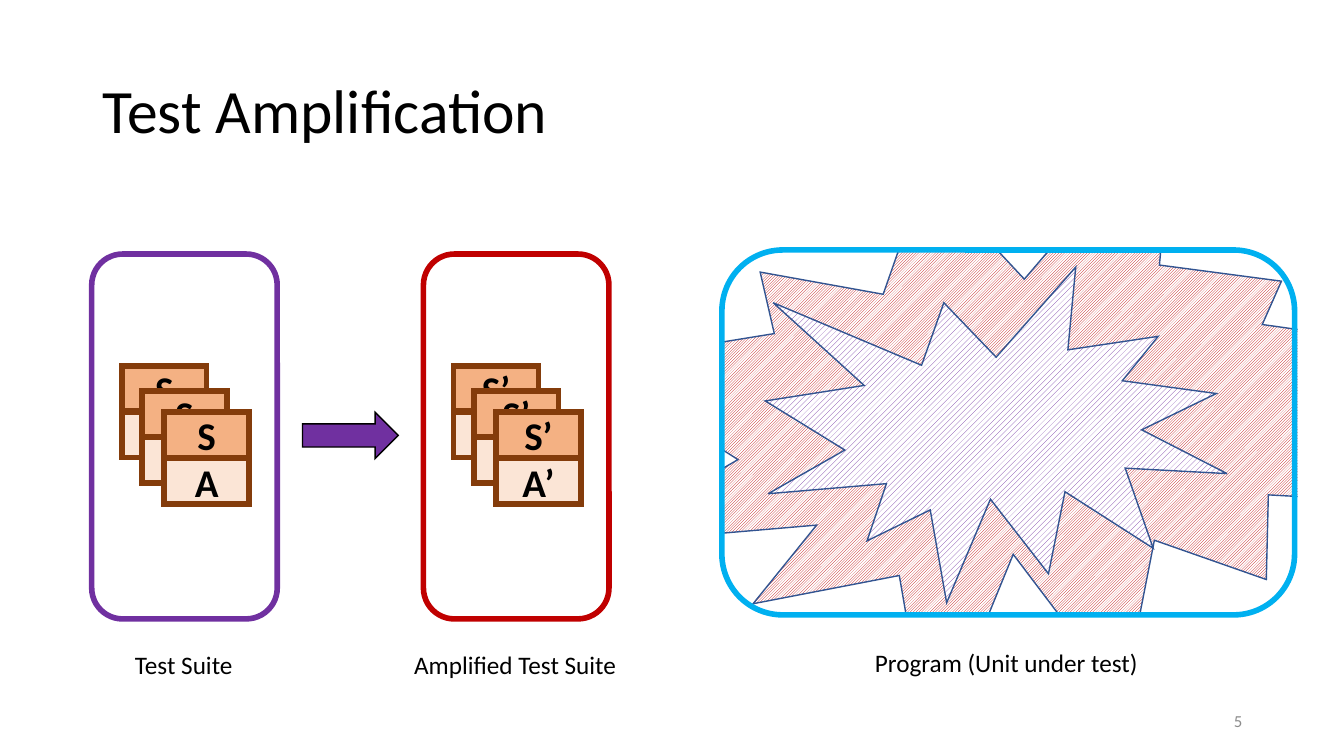
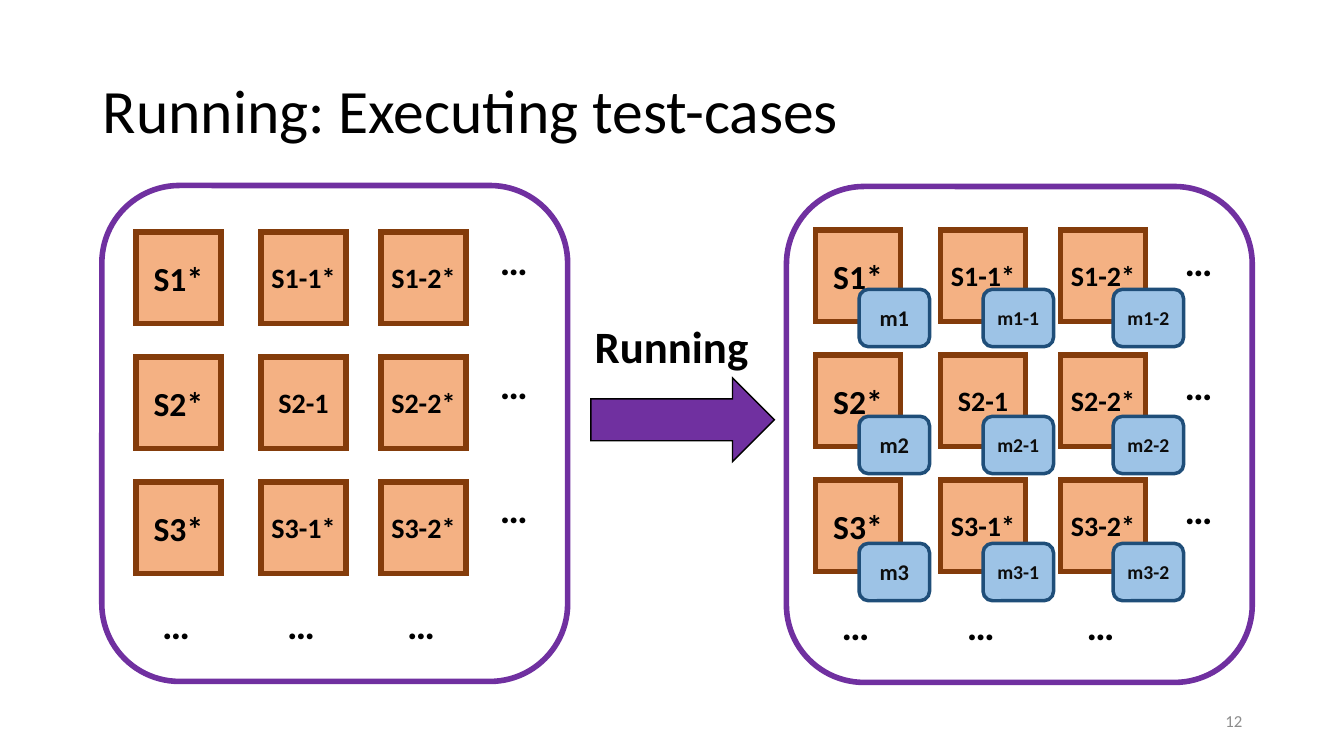
"""Build two slides on test amplification and on running test cases."""
from dataclasses import dataclass

from lxml.etree import SubElement
from pptx import Presentation
from pptx.dml.color import RGBColor
from pptx.enum.dml import MSO_PATTERN as Pattern
from pptx.enum.shapes import MSO_SHAPE as Shape
from pptx.enum.text import MSO_ANCHOR as Anchor, PP_ALIGN as Align
from pptx.oxml.ns import qn
from pptx.shapes.autoshape import Shape as AutoShape
from pptx.slide import Slide
from pptx.util import Inches, Pt


@dataclass(frozen=True)
class Theme:
    font: str = "Calibri"
    black: str = "000000"
    white: str = "FFFFFF"
    grey: str = "8C8C8C"
    ink: str = "0D0D0D"
    purple: str = "7030A0"
    red: str = "C00000"
    cyan: str = "00B0F0"
    orange: str = "F4B183"
    peach: str = "FBE5D6"
    brown: str = "843C0B"
    sky: str = "9DC3E6"
    navy: str = "1F4E79"
    outline: str = "325491"
    title: int = 44
    heading: int = 32
    big: int = 28
    tile: int = 24
    small_tile: int = 20
    label: int = 18
    metric: int = 16
    small_metric: int = 14
    page: int = 12
    thick: float = 4
    medium: float = 2.5
    thin: float = 1


T = Theme()


@dataclass(frozen=True)
class Box:
    x: float
    y: float
    w: float
    h: float


@dataclass(frozen=True)
class Look:
    fill: str | None = None
    line: str | None = None
    width: float = T.thick


@dataclass(frozen=True)
class Type:
    size: int
    bold: bool = False
    color: str = T.black
    align: Align = Align.LEFT


@dataclass(frozen=True)
class Suite:
    x: float
    color: str
    setup: str
    asserts: tuple[str, ...]
    caption: str
    caption_box: Box


@dataclass(frozen=True)
class Panel:
    frame: Box
    tile_x: float
    tile_y: float
    dots_x: float
    dots_y: float
    measured: bool


BIG = Type(T.big, True)
LABEL = Type(T.label)
TILE = Look(T.orange, T.brown)
CHECK = Look(T.peach, T.brown)
METRIC = Look(T.sky, T.navy, T.medium)
ARROW = Look(T.purple, T.black, T.thin)
COVER = Look(T.white)

SUITES = (
    Suite(0.91, T.purple, "S", ("A", "A", "A"), "Test Suite", Box(1.24, 6.39, 1.18, 0.4)),
    Suite(4.2, T.red, "S’", ("A", "A", "A’"), "Amplified Test Suite", Box(4.01, 6.39, 2.23, 0.4)),
)
CARD_OFFSETS = ((0.3, 3.63), (0.5, 3.88), (0.72, 4.09))
COVERS = (
    Box(12.87, 1.12, 0.46, 5.75), Box(4.46, 1.35, 2.7, 5.75),
    Box(6.73, 6.11, 6.6, 1.39), Box(5.53, 0.4, 7.8, 2.08),
)
BURST = (
    (10.16, 2.77), (11.65, 1.03), (11.5, 2.63), (12.71, 2.79), (12.52, 3.22), (13.3, 3.33),
    (12.88, 4.17), (13.3, 4.39), (13.3, 4.95), (12.58, 4.91), (12.56, 5.75), (11.45, 5.36),
    (11.14, 6.94), (10.05, 5.5), (9.23, 7.5), (8.92, 5.71), (7.47, 5.99), (8.1, 5.21),
    (5.88, 5.4), (7.32, 4.56), (5.83, 3.61), (7.68, 3.31), (7.54, 2.7), (8.76, 2.92),
    (9.18, 1.72),
)
PANELS = (
    Panel(Box(7.8, 1.85, 4.62, 4.92), 8.09, 2.28, 11.65, 5.92, True),
    Panel(Box(1.01, 1.84, 4.62, 4.92), 1.35, 2.3, 4.86, 5.91, False),
)
CASES = (
    ("S1*", "S1-1*", "S1-2*"),
    ("S2*", "S2-1", "S2-2*"),
    ("S3*", "S3-1*", "S3-2*"),
)
COLUMNS = (0, 1.24, 2.43)
METRIC_COLUMNS = (0.43, 1.66, 2.95)
ROW_PITCH = 1.24
METRIC_PITCH = 1.26


def rgb(value: str) -> RGBColor:
    return RGBColor.from_string(value)


def write(sp: AutoShape, text: str, style: Type, spacing: float = 1) -> None:
    p = sp.text_frame.paragraphs[0]
    p.alignment = style.align
    p.line_spacing = spacing
    r = p.add_run()
    r.text = text
    r.font.name = T.font
    r.font.size = Pt(style.size)
    r.font.bold = style.bold
    r.font.color.rgb = rgb(style.color)


def add_text(s: Slide, box: Box, text: str, style: Type, wrap: bool = False,
             anchor: Anchor = Anchor.TOP, spacing: float = 1) -> None:
    sp = s.shapes.add_textbox(Inches(box.x), Inches(box.y), Inches(box.w), Inches(box.h))
    sp.text_frame.word_wrap = wrap
    sp.text_frame.vertical_anchor = anchor
    write(sp, text, style, spacing)


def paint(sp: AutoShape, look: Look, pattern: Pattern | None = None) -> None:
    sp.shadow.inherit = False
    if look.fill is None:
        sp.fill.background()
    elif pattern is None:
        sp.fill.solid()
        sp.fill.fore_color.rgb = rgb(look.fill)
    else:
        sp.fill.patterned()
        sp.fill.pattern = pattern
        sp.fill.fore_color.rgb = rgb(look.fill)
        sp.fill.back_color.rgb = rgb(T.white)
    if look.line is None:
        sp.line.fill.background()
        return
    sp.line.color.rgb = rgb(look.line)
    sp.line.width = Pt(look.width)
    SubElement(sp.line._get_or_add_ln(), qn("a:miter"), lim="800000")


def add_shape(s: Slide, kind: Shape, box: Box, look: Look, text: str = "",
              style: Type = BIG, pattern: Pattern | None = None) -> None:
    sp = s.shapes.add_shape(kind, Inches(box.x), Inches(box.y), Inches(box.w), Inches(box.h))
    paint(sp, look, pattern)
    if text:
        tf = sp.text_frame
        tf.margin_left = tf.margin_right = 0
        tf.vertical_anchor = Anchor.MIDDLE
        write(sp, text, Type(style.size, style.bold, style.color, Align.CENTER))


def new_slide(prs: Presentation) -> Slide:
    return prs.slides.add_slide(prs.slide_layouts[6])


def add_title(s: Slide, title: str) -> None:
    add_text(s, Box(0.92, 0.4, 11.5, 1.45), title, Type(T.title), True, Anchor.MIDDLE, 0.9)


def add_page(s: Slide, page: str) -> None:
    style = Type(T.page, color=T.grey, align=Align.RIGHT)
    add_text(s, Box(9.42, 6.95, 3, 0.4), page, style, True, Anchor.MIDDLE)


def add_suite(s: Slide, suite: Suite) -> None:
    add_shape(s, Shape.ROUNDED_RECTANGLE, Box(suite.x, 2.52, 1.84, 3.62), Look(line=suite.color))
    for (dx, y), check in zip(CARD_OFFSETS, suite.asserts):
        x = suite.x + dx
        add_shape(s, Shape.FLOWCHART_PROCESS, Box(x, y, 0.84, 0.45), TILE, suite.setup)
        add_shape(s, Shape.FLOWCHART_PROCESS, Box(x, y + 0.46, 0.84, 0.45), CHECK, check)
    add_text(s, suite.caption_box, suite.caption, LABEL)


def add_burst(s: Slide) -> None:
    points = [(Inches(x), Inches(y)) for x, y in BURST]
    builder = s.shapes.build_freeform(*points[0], scale=1.0)
    builder.add_line_segments(points[1:], close=True)
    paint(builder.convert_to_shape(), Look(T.red, T.outline, T.thin),
          Pattern.DARK_UPWARD_DIAGONAL)


def build_amplification(prs: Presentation) -> None:
    s = new_slide(prs)
    add_burst(s)
    for cover in COVERS:
        add_shape(s, Shape.RECTANGLE, cover, COVER)
    add_title(s, "Test Amplification")
    for suite in SUITES:
        add_suite(s, suite)
    add_shape(s, Shape.RIGHT_ARROW, Box(3, 4.09, 0.95, 0.46), ARROW)
    add_shape(s, Shape.ROUNDED_RECTANGLE, Box(7.16, 2.48, 5.68, 3.62), Look(line=T.cyan))
    add_text(s, Box(8.58, 6.37, 2.84, 0.4), "Program (Unit under test)", LABEL)
    add_shape(s, Shape.EXPLOSION1, Box(7.59, 2.65, 4.58, 3.33),
              Look(T.purple, T.outline, T.thin), pattern=Pattern.WIDE_UPWARD_DIAGONAL)
    add_page(s, "5")


def add_panel(s: Slide, panel: Panel) -> None:
    add_shape(s, Shape.ROUNDED_RECTANGLE, panel.frame, Look(line=T.purple))
    for dx in COLUMNS:
        add_text(s, Box(panel.tile_x + 0.16 + dx, panel.dots_y, 0.48, 0.57), "…", BIG)
    for row, cases in enumerate(CASES):
        y = panel.tile_y + row * ROW_PITCH
        add_text(s, Box(panel.dots_x, panel.frame.y + 0.46 + row * 1.23, 0.48, 0.57), "…", BIG)
        for col, (dx, case) in enumerate(zip(COLUMNS, cases)):
            size = T.small_tile if col else T.tile
            add_shape(s, Shape.FLOWCHART_PROCESS, Box(panel.tile_x + dx, y, 0.84, 0.91),
                      TILE, case, Type(size, True))
    if panel.measured:
        add_metrics(s, panel)


def add_metrics(s: Slide, panel: Panel) -> None:
    for row, cases in enumerate(CASES):
        y = panel.tile_y + 0.59 + row * METRIC_PITCH
        for col, (dx, case) in enumerate(zip(METRIC_COLUMNS, cases)):
            size = T.small_metric if col else T.metric
            add_shape(s, Shape.ROUNDED_RECTANGLE, Box(panel.tile_x + dx, y, 0.7, 0.57),
                      METRIC, case.replace("S", "m").rstrip("*"), Type(size, True, T.ink))


def build_running(prs: Presentation) -> None:
    s = new_slide(prs)
    add_title(s, "Running: Executing test-cases")
    for panel in PANELS:
        add_panel(s, panel)
    add_shape(s, Shape.RIGHT_ARROW, Box(5.86, 3.75, 1.82, 0.83), ARROW)
    add_text(s, Box(5.8, 3.11, 1.74, 0.64), "Running", Type(T.heading, True))
    add_page(s, "12")


def main() -> None:
    prs = Presentation()
    prs.slide_width, prs.slide_height = Inches(13.33), Inches(7.5)
    build_amplification(prs)
    build_running(prs)
    prs.save("out.pptx")


if __name__ == "__main__":
    main()
